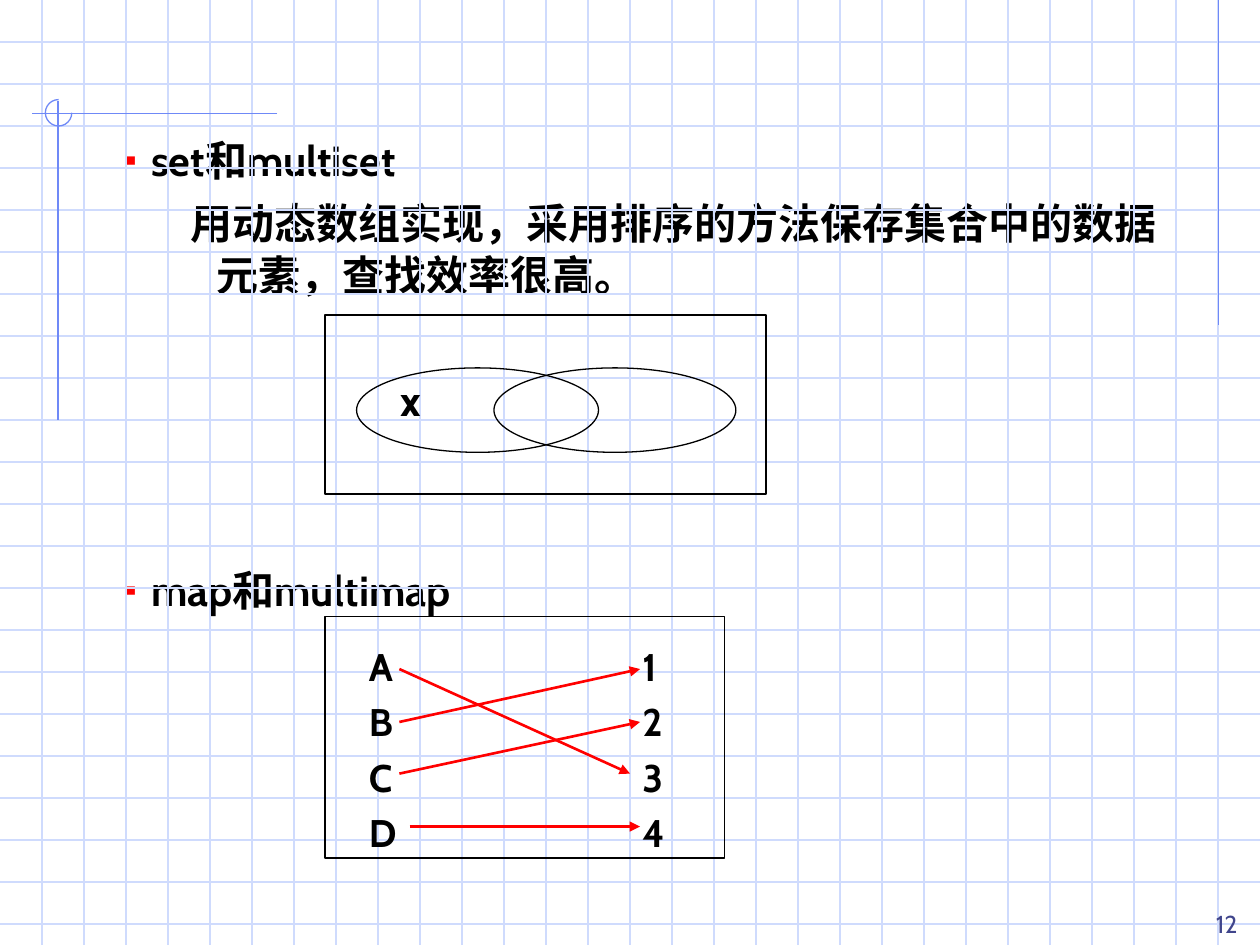
from lxml.etree import SubElement as Sub
from pptx import Presentation
from pptx.dml.color import RGBColor as Rgb
from pptx.enum.shapes import MSO_CONNECTOR as Conn, MSO_SHAPE as Form
from pptx.enum.text import MSO_ANCHOR as Anchor, MSO_AUTO_SIZE as Auto, PP_ALIGN as Align
from pptx.oxml.ns import qn
from pptx.util import Inches, Pt

HUES = {"grid": "CFDBFD", "rule": "6F89F7", "ink": "000000", "red": "FF0000", "page": "40458C"}


class Deck:
    """Draws styled elements on one slide."""

    def __init__(self, font):
        self.font = font
        self.prs = Presentation()
        self.prs.slide_width, self.prs.slide_height = Inches(10), Inches(7.5)
        self.slide = self.prs.slides.add_slide(self.prs.slide_layouts[1])
        self.items = self.slide.shapes
        title = self.items.title.element
        title.getparent().remove(title)

    def hue(self, name):
        return Rgb.from_string(HUES[name])

    def line(self, x1, y1, x2, y2, hue, width=0.75, arrow=False):
        line = self.items.add_connector(Conn.STRAIGHT, *map(Inches, (x1, y1, x2, y2)))
        line.line.color.rgb = self.hue(hue)
        line.line.width = Pt(width)
        if arrow:
            Sub(line.line._get_or_add_ln(), qn("a:tailEnd"), type="triangle")
        Sub(line.element.spPr, qn("a:effectLst"))

    def shape(self, form, box, hue="ink"):
        shape = self.items.add_shape(form, *map(Inches, box))
        shape.shadow.inherit = False
        shape.fill.background()
        shape.line.color.rgb = self.hue(hue)
        shape.line.width = Pt(0.75)
        return shape

    def style(self, para, size, hue="ink", bold=True):
        for run in para.runs:
            run.font.name = self.font
            run.font.size = Pt(size)
            run.font.bold = bold
            run.font.color.rgb = self.hue(hue)

    def text(self, box, text, size, hue="ink", bold=True, gap=None, lead=None, align=None,
             anchor=Anchor.TOP):
        frame = self.items.add_textbox(*map(Inches, box)).text_frame
        frame.word_wrap = True
        frame.vertical_anchor = anchor
        frame.text = text
        for para in frame.paragraphs:
            para.alignment = align
            para.line_spacing = lead
            para.space_before = gap
            self.style(para, size, hue, bold)

    def body(self, box, rows):
        hold = self.slide.placeholders[1]
        hold.left, hold.top, hold.width, hold.height = map(Inches, box)
        frame = hold.text_frame
        frame.auto_size = Auto.NONE
        frame.text = "\n".join(row[0] for row in rows)
        for para, (_, level, gap) in zip(frame.paragraphs, rows):
            para.level = level
            para.line_spacing = Pt(30)
            para.space_before = Pt(gap)
            self.style(para, 24)
            props = para._p.get_or_add_pPr()
            props.set("marL", str(Inches(0.52 * (level + 1))))
            props.set("indent", str(Inches(-0.21)))
            if level:
                Sub(props, qn("a:buNone"))
            else:
                Sub(Sub(props, qn("a:buClr")), qn("a:srgbClr"), val=HUES["red"])
                Sub(props, qn("a:buSzPct"), val="80000")
                Sub(props, qn("a:buChar"), char="▪")

    def grid(self, step):
        for row in range(1, int(7.5 / step) + 1):
            self.line(0, row * step, 10, row * step, "grid")
        for col in range(1, round(10 / step)):
            self.line(col * step, 0, col * step, 7.5, "grid")


def main():
    deck = Deck("Cabin")
    deck.grid(1 / 3)
    deck.line(9.67, 0, 9.67, 2.58, "rule")
    deck.line(2.2, 0.9, 0.25, 0.9, "rule")
    deck.line(0.46, 0.8, 0.46, 3.33, "rule")
    arc = deck.shape(Form.ARC, (0.36, 0.79, 0.21, 0.21), "rule")
    arc.adjustments[0], arc.adjustments[1] = 0, 162

    deck.body((0.58, 1, 9, 6.08), [
        ("set和multiset", 0, 6),
        ("用动态数组实现，采用排序的方法保存集合中的数据元素，查找效率很高。", 1, 6),
        ("map和multimap", 0, 150),
    ])

    deck.shape(Form.RECTANGLE, (2.58, 2.5, 3.5, 1.42))
    for left in (2.83, 3.92):
        deck.shape(Form.OVAL, (left, 2.92, 1.92, 0.67))
    deck.text((3.08, 2.92, 0.5, 0.5), "x", 24, gap=Pt(15))

    deck.shape(Form.RECTANGLE, (2.58, 4.89, 3.17, 1.92))
    for left, names in ((2.83, "ABCD"), (5, "1234")):
        deck.text((left, 4.98, 0.67, 1.86), "\n".join(names), 22, lead=1.2)
    rows = [5.31, 5.73, 6.14, 6.56]
    for x1, start, x2, end in ((3.25, 3, 5.08, 3), (3.17, 0, 5, 2),
                               (3.17, 1, 5.08, 0), (3.17, 2, 5.08, 1)):
        deck.line(x1, rows[start], x2, rows[end], "red", 1.5, True)

    deck.text((9.25, 7, 0.67, 0.5), "12", 14, "page", False,
              align=Align.RIGHT, anchor=Anchor.BOTTOM)
    deck.prs.save("out.pptx")


if __name__ == "__main__":
    main()
